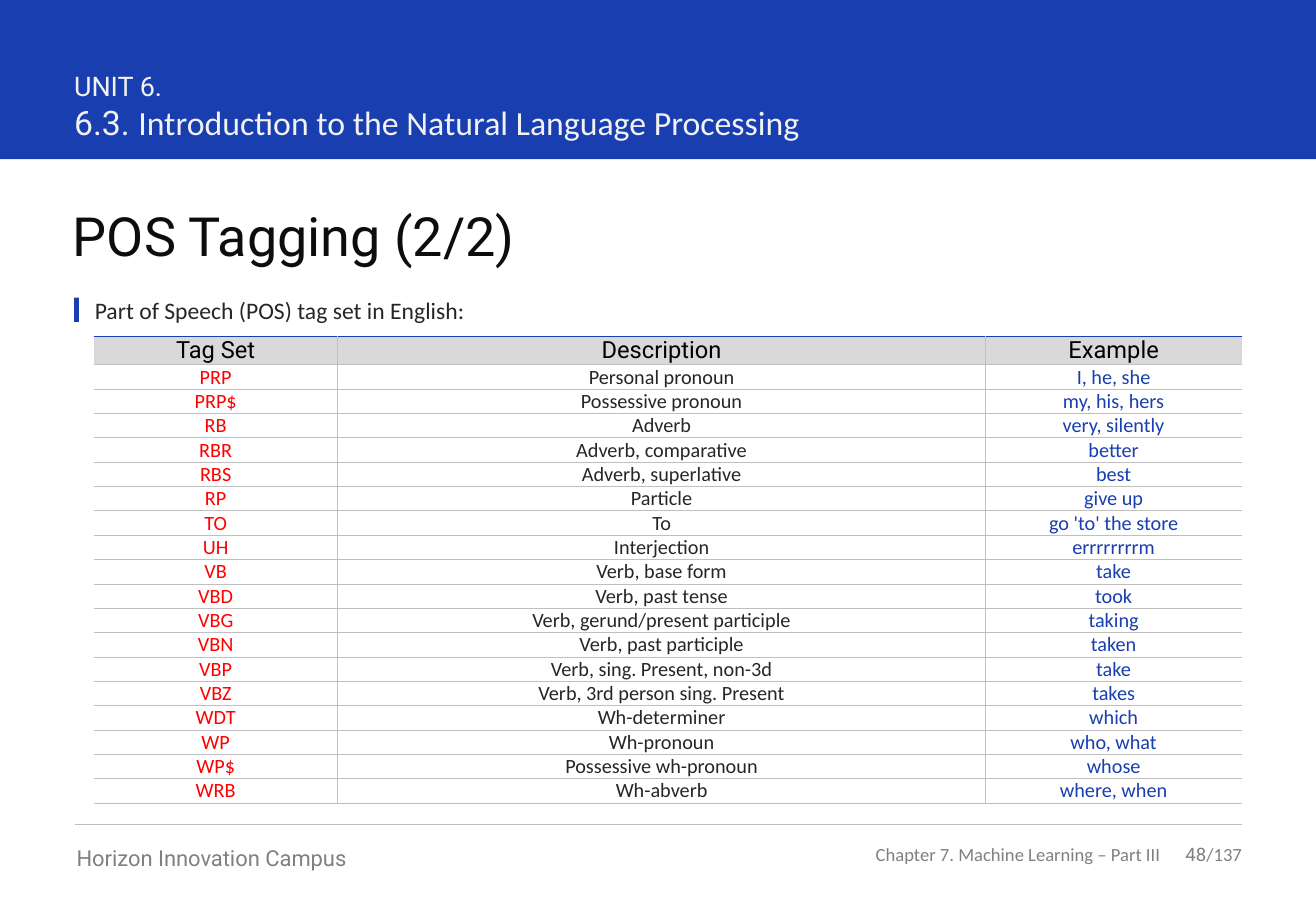
import pptx
import pptx.util
import pptx.dml.color
import pptx.enum.shapes
import pptx.enum.text
import pptx.oxml
import lxml.etree

RGBColor = pptx.dml.color.RGBColor
Align = pptx.enum.text.PP_ALIGN
Anchor = pptx.enum.text.MSO_ANCHOR

BLUE = RGBColor(0x19, 0x3E, 0xB0)
RED = RGBColor(0xFF, 0x00, 0x00)
WHITE = RGBColor(0xFF, 0xFF, 0xFF)
PALE = RGBColor(0xF2, 0xF2, 0xF2)
HEADER_GREY = RGBColor(0xD9, 0xD9, 0xD9)
LINE_GREY = RGBColor(0xBF, 0xBF, 0xBF)
FOOTER_GREY = RGBColor(0x80, 0x80, 0x80)
INK = RGBColor(0x26, 0x26, 0x26)
TITLE_INK = RGBColor(0x0D, 0x0D, 0x0D)
BLACK = RGBColor(0x00, 0x00, 0x00)

# Content: areas are left, top, width, height in percent of the slide
SLIDE_SIZE = (10.83, 7.5)
BLOCKS = [
    (0, 0, 100, 17.47),            # header band
    (5.63, 32.67, 0.37, 2.67),     # marker beside the lead line
]
FOOTER_RULE = (5.72, 94.37, 90.53)  # from, to, height on the slide

# Area, alignment, anchor, space after, runs of (text, font, size, colour)
TEXTS = [
    ((5.63, 7.6, 87.26, 8.13), Align.LEFT, Anchor.TOP, 0, [
        ("UNIT 6.\v", "Roboto", 16, PALE),
        ("6.3. ", "Roboto", 20, PALE),
        ("Introduction to the Natural Language Processing", "Calibri", 20, PALE)]),
    ((5.54, 22.27, 88.83, 7.2), Align.LEFT, Anchor.TOP, 0, [
        ("POS Tagging (2/2)", "Roboto", 32, TITLE_INK)]),
    ((7.2, 32.53, 87.17, 3.2), Align.LEFT, Anchor.TOP, 6, [
        ("Part of Speech (POS) tag set in English:", "Calibri", 14, INK)]),
    ((5.82, 92.67, 29.18, 2.93), Align.LEFT, Anchor.TOP, 0, [
        ("Horizon Innovation Campus", "Roboto", 13, FOOTER_GREY)]),
    ((64.64, 92.53, 23.55, 2.53), Align.RIGHT, Anchor.MIDDLE, 0, [
        ("Chapter 7. Machine Learning – Part III", "Calibri", 11, FOOTER_GREY)]),
    ((88.18, 92.53, 6.19, 2.53), Align.RIGHT, Anchor.MIDDLE, 0, [
        ("48", "Roboto", 11, FOOTER_GREY),
        ("/137", "Calibri", 11, FOOTER_GREY)]),
]

TABLE_AREA = (7.11, 36.93, 87.26, 51.87)
COLUMN_WEIGHTS = (201, 533, 211)
COLUMN_COLOURS = (RED, INK, BLUE)
TAGS = [
    ("Tag Set", "Description", "Example"),
    ("PRP", "Personal pronoun", "I, he, she"),
    ("PRP$", "Possessive pronoun", "my, his, hers"),
    ("RB", "Adverb", "very, silently"),
    ("RBR", "Adverb, comparative", "better"),
    ("RBS", "Adverb, superlative", "best"),
    ("RP", "Particle", "give up"),
    ("TO", "To", "go 'to' the store"),
    ("UH", "Interjection", "errrrrrrrm"),
    ("VB", "Verb, base form", "take"),
    ("VBD", "Verb, past tense", "took"),
    ("VBG", "Verb, gerund/present participle", "taking"),
    ("VBN", "Verb, past participle", "taken"),
    ("VBP", "Verb, sing. Present, non-3d", "take"),
    ("VBZ", "Verb, 3rd person sing. Present", "takes"),
    ("WDT", "Wh-determiner", "which"),
    ("WP", "Wh-pronoun", "who, what"),
    ("WP$", "Possessive wh-pronoun", "whose"),
    ("WRB", "Wh-abverb", "where, when"),
]

WIDTH, HEIGHT = (pptx.util.Inches(length) for length in SLIDE_SIZE)
NO_MARGINS = {"margin_" + side: 0 for side in ("left", "top", "right", "bottom")}


def across(percent):
    return round(WIDTH * percent / 100)


def down(percent):
    return round(HEIGHT * percent / 100)


def place(area):
    left, top, width, height = area
    return across(left), down(top), across(width), down(height)


def apply(target, values):
    for name, value in values.items():
        setattr(target, name, value)


def write(paragraph, runs):
    for text, font, size, colour in runs:
        run = paragraph.add_run()
        run.text = text.rstrip("\v")
        apply(run.font, {"name": font, "size": pptx.util.Pt(size)})
        run.font.color.rgb = colour
        if text.endswith("\v"):
            paragraph.add_line_break()


def add_borders(cell, borders):
    properties = cell._tc.get_or_add_tcPr()
    for index, (side, border) in enumerate(borders):
        line = lxml.etree.Element(pptx.oxml.ns.qn("a:ln" + side))
        if border:
            colour, points = border
            line.set("w", str(pptx.util.Pt(points)))
            fill = lxml.etree.SubElement(line, pptx.oxml.ns.qn("a:solidFill"))
            lxml.etree.SubElement(fill, pptx.oxml.ns.qn("a:srgbClr"), val=str(colour))
        else:
            lxml.etree.SubElement(line, pptx.oxml.ns.qn("a:noFill"))
        properties.insert(index, line)


presentation = pptx.Presentation()
apply(presentation, {"slide_width": WIDTH, "slide_height": HEIGHT})
slide = presentation.slides.add_slide(presentation.slide_layouts[6])

# Header band and marker
for area in BLOCKS:
    block = slide.shapes.add_shape(pptx.enum.shapes.MSO_SHAPE.RECTANGLE, *place(area))
    block.shadow.inherit = False
    block.fill.solid()
    block.fill.fore_color.rgb = BLUE
    block.line.fill.background()

# Footer rule
start, end, level = FOOTER_RULE
rule = slide.shapes.add_connector(pptx.enum.shapes.MSO_CONNECTOR.STRAIGHT,
                                  across(start), down(level), across(end), down(level))
rule.line.color.rgb = LINE_GREY
rule.line.width = pptx.util.Pt(0.5)
lxml.etree.SubElement(rule._element.spPr, pptx.oxml.ns.qn("a:effectLst"))

# Headings and footer texts
for area, alignment, anchor, space_after, runs in TEXTS:
    frame = slide.shapes.add_textbox(*place(area)).text_frame
    apply(frame, {"word_wrap": True, "vertical_anchor": anchor, **NO_MARGINS})
    paragraph = frame.paragraphs[0]
    apply(paragraph, {"alignment": alignment, "space_after": pptx.util.Pt(space_after)})
    write(paragraph, runs)

# Tag table
left, top, width, height = place(TABLE_AREA)
table = slide.shapes.add_table(len(TAGS), len(COLUMN_WEIGHTS), left, top, width, height).table
apply(table, {"first_row": False, "horz_banding": False})
for column, weight in zip(table.columns, COLUMN_WEIGHTS):
    column.width = round(width * weight / sum(COLUMN_WEIGHTS))
for row in table.rows:
    row.height = pptx.util.Inches(0.2)

thin = (LINE_GREY, 0.5)
last_column = len(COLUMN_WEIGHTS) - 1
for row_index, texts in enumerate(TAGS):
    is_header = row_index == 0
    for column_index, text in enumerate(texts):
        cell = table.cell(row_index, column_index)
        apply(cell, {"vertical_anchor": Anchor.MIDDLE, **NO_MARGINS})
        cell.fill.solid()
        cell.fill.fore_color.rgb = HEADER_GREY if is_header else WHITE
        add_borders(cell, [("L", thin if column_index > 0 else None),
                           ("R", thin if column_index < last_column else None),
                           ("T", (BLUE, 1) if is_header else thin),
                           ("B", thin)])
        paragraph = cell.text_frame.paragraphs[0]
        paragraph.alignment = Align.CENTER
        style = ("Roboto", 14, BLACK) if is_header else ("Calibri", 12, COLUMN_COLOURS[column_index])
        write(paragraph, [(text, *style)])

presentation.save("out.pptx")
